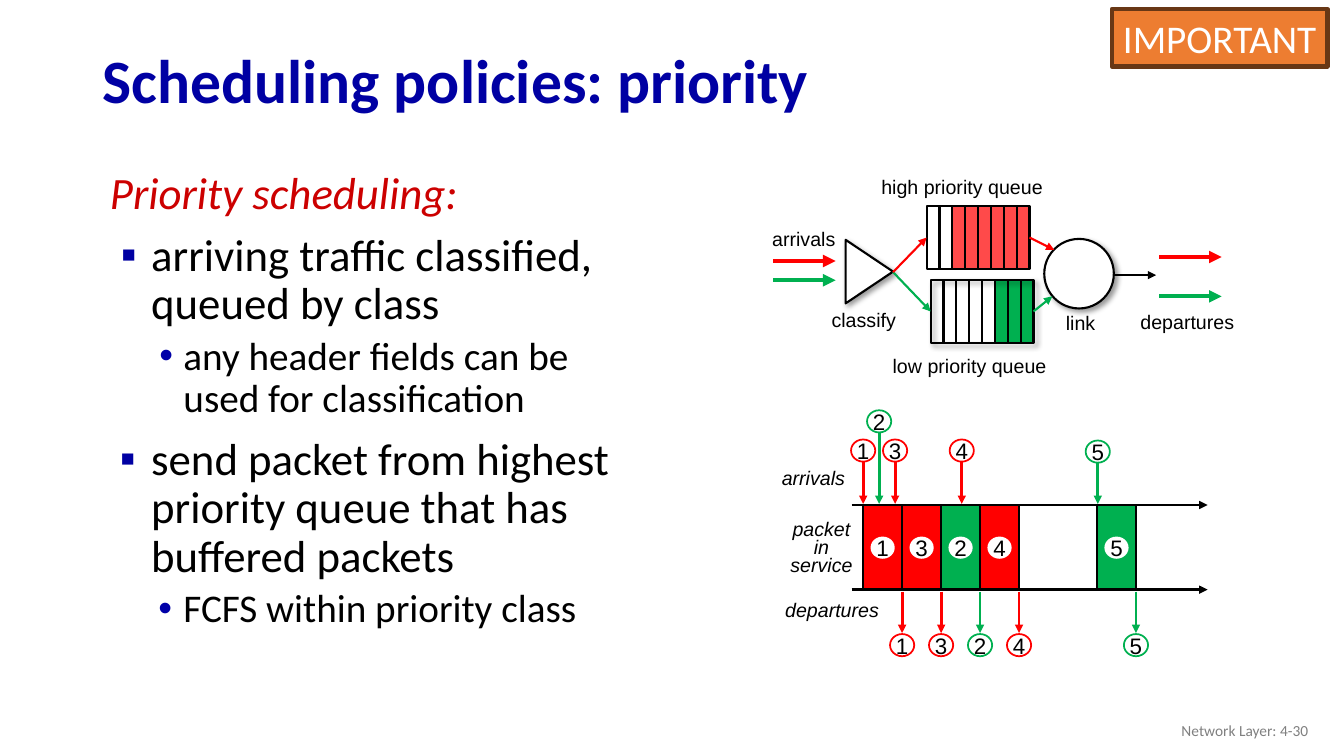
"""Build the slide on priority scheduling, laid out on a grid of 40 columns by 22.5 rows."""
from dataclasses import dataclass
from typing import Any, NamedTuple, Optional

from lxml.etree import SubElement
from pptx import Presentation
from pptx.dml.color import RGBColor
from pptx.enum.shapes import MSO_CONNECTOR, MSO_SHAPE
from pptx.enum.text import MSO_ANCHOR, MSO_AUTO_SIZE, PP_ALIGN
from pptx.oxml.ns import qn
from pptx.util import Emu, Inches, Pt

COLUMNS, ROWS = 40, 22.5
CELL = Inches(13.3333) / COLUMNS


@dataclass(frozen=True)
class Theme:
    """Colours, fonts and type sizes of the slide."""
    title: str = "0000A3"
    sub_bullet: str = "0000A8"
    heading: str = "CC0000"
    high: str = "FF0000"
    low: str = "00B050"
    ink: str = "000000"
    paper: str = "FFFFFF"
    tag: str = "ED7D31"
    tag_edge: str = "683715"
    footer: str = "808080"
    text_font: str = "Calibri"
    diagram_font: str = "Arial"
    title_size: int = 44
    body_size: int = 32
    sub_size: int = 28
    number_size: int = 16
    label_size: int = 14
    footer_size: int = 11


class Box(NamedTuple):
    """Left, top, width and height in grid cells."""
    left: float
    top: float
    width: float
    height: float


class Point(NamedTuple):
    """Column and row in grid cells."""
    column: float
    row: float


class Bullet(NamedTuple):
    """One paragraph of the body text."""
    text: str
    level: int
    margin: float
    hang: float
    mark: Optional[str] = None


class Label(NamedTuple):
    """One caption of the diagrams."""
    text: str
    box: Box
    italic: bool = False


class Queue(NamedTuple):
    """A waiting line whose last slots are filled."""
    box: Box
    colour: str
    filled: int
    opacity: int
    shadowed: bool
    link_entry: Point


class Packet(NamedTuple):
    """A packet with its arrival time, badge row and service slot."""
    number: int
    colour: str
    arrival: float
    badge_row: float
    slot: int


THEME = Theme()
UPPER_BODY = [
    Bullet("Priority scheduling:", 0, 1.17, -0.72),
    Bullet("arriving traffic classified, queued by class", 0, 1.68, -0.9, "▪"),
    Bullet("any header fields can be used for classification", 1, 2.64, -0.72, "•"),
]
LOWER_BODY = [
    Bullet("send packet from highest priority queue that has buffered packets", 0, 1.68, -0.93, "▪"),
    Bullet("FCFS within priority class", 1, 2.64, -0.75, "•"),
]
QUEUES = [
    Queue(Box(27.7, 8.34, 3.06, 1.86), THEME.low, 3, 100, True, Point(31.32, 8.82)),
    Queue(Box(27.58, 6.14, 3.06, 1.86), THEME.high, 6, 71, False, Point(31.38, 7.44)),
]
LABELS = [
    Label("high priority queue", Box(25.92, 5.04, 5.43, 1.02)),
    Label("low priority queue", Box(26.25, 10.38, 5.22, 1.02)),
    Label("arrivals", Box(22.68, 6.6, 2.49, 1.02)),
    Label("classify", Box(24.42, 9, 2.58, 1.02)),
    Label("departures", Box(33.63, 9.06, 3.42, 1.02)),
    Label("link", Box(31.41, 9.09, 1.5, 1.02)),
    Label("arrivals", Box(22.89, 13.71, 2.64, 1.02), True),
    Label("departures", Box(22.98, 17.64, 3.57, 1.02), True),
]
PACKETS = [
    Packet(1, THEME.high, 0, 13.41, 0),
    Packet(3, THEME.high, 0.82, 13.41, 1),
    Packet(2, THEME.low, 0.41, 12.54, 2),
    Packet(4, THEME.high, 2.53, 13.41, 3),
    Packet(5, THEME.low, 6.02, 13.44, 6),
]
FLOWS = [(23.01, 7.77, THEME.high), (23.01, 8.34, THEME.low), (34.5, 7.65, THEME.high), (34.5, 8.82, THEME.low)]
QUEUE_SLOTS = 8
TIME_ZERO, TIME_SLOT = 25.69, 1.16
BADGE_WIDTH, BADGE_HEIGHT = 0.72, 0.66


def cells(count: float) -> Emu:
    """Turn grid cells into a length."""
    return Emu(round(count * CELL))


def assign(target: Any, values: dict) -> None:
    """Set attributes from a dict of format values."""
    for name, value in values.items():
        setattr(target, name, value)


def place(shape: Any, box: Box) -> None:
    """Move a shape to its box."""
    assign(shape, {side: cells(value) for side, value in box._asdict().items()})


def write(paragraph: Any, text: str, size: int, colour: str, font: str, **style: Any) -> None:
    """Put one formatted run in a paragraph."""
    run = paragraph.add_run()
    run.text = text
    assign(run.font, {"size": Pt(size), "name": font, **style})
    run.font.color.rgb = RGBColor.from_string(colour)


def add_figure(slide: Any, kind: MSO_SHAPE, box: Box, fill: Optional[str] = None, edge: Optional[str] = None,
               weight: float = 1.5, shadowed: bool = False, opacity: int = 100) -> Any:
    """Draw a preset shape with its fill, edge and optional shadow."""
    figure = slide.shapes.add_shape(kind, *map(cells, box))
    figure.shadow.inherit = False
    if fill:
        figure.fill.solid()
        figure.fill.fore_color.rgb = RGBColor.from_string(fill)
        if opacity < 100:
            colour = figure.element.spPr.find(qn("a:solidFill")).find(qn("a:srgbClr"))
            SubElement(colour, qn("a:alpha"), val=str(opacity * 1000))
    else:
        figure.fill.background()
    if edge:
        figure.line.color.rgb = RGBColor.from_string(edge)
        figure.line.width = Pt(weight)
    else:
        figure.line.fill.background()
    if shadowed:
        shadow = SubElement(figure.element.spPr.find(qn("a:effectLst")), qn("a:outerShdw"), blurRad=str(Pt(4)),
                            dist=str(Pt(3)), dir="2700000", algn="tl", rotWithShape="0")
        SubElement(SubElement(shadow, qn("a:srgbClr"), val=THEME.ink), qn("a:alpha"), val="40000")
    return figure


def add_line(slide: Any, start: Point, end: Point, colour: str, weight: float, arrow: bool = True) -> Any:
    """Draw a straight connector, with an arrowhead by default."""
    line = slide.shapes.add_connector(MSO_CONNECTOR.STRAIGHT, *map(cells, (*start, *end)))
    line.line.color.rgb = RGBColor.from_string(colour)
    line.line.width = Pt(weight)
    if arrow:
        SubElement(line.line._get_or_add_ln(), qn("a:tailEnd"), type="triangle")
    SubElement(line._element.spPr, qn("a:effectLst"))
    return line


def add_caption(slide: Any, text: str, box: Box, size: int, colour: str, font: str, wrap: bool = False,
                align: PP_ALIGN = PP_ALIGN.CENTER, italic: bool = False) -> Any:
    """Draw a text box and return its paragraph."""
    frame = slide.shapes.add_textbox(*map(cells, box)).text_frame
    assign(frame, {"word_wrap": wrap, "vertical_anchor": MSO_ANCHOR.MIDDLE})
    frame.paragraphs[0].alignment = align
    write(frame.paragraphs[0], text, size, colour, font, italic=italic)
    return frame.paragraphs[0]


def fill_body(body: Any, box: Box, bullets: list[Bullet]) -> None:
    """Place a body placeholder and write its list."""
    place(body, box)
    frame = body.text_frame
    assign(frame, {"auto_size": MSO_AUTO_SIZE.NONE, "word_wrap": True, "vertical_anchor": MSO_ANCHOR.TOP})
    for index, bullet in enumerate(bullets):
        paragraph = frame.add_paragraph() if index else frame.paragraphs[0]
        assign(paragraph, {"level": bullet.level, "line_spacing": 0.9, "space_before": Pt(5 if bullet.level else 10)})
        properties = paragraph._p.get_or_add_pPr()
        properties.set("marL", str(cells(bullet.margin)))
        properties.set("indent", str(cells(bullet.hang)))
        if bullet.mark:
            mark_colour = THEME.sub_bullet if bullet.level else THEME.title
            SubElement(SubElement(properties, qn("a:buClr")), qn("a:srgbClr"), val=mark_colour)
            SubElement(properties, qn("a:buFont"), typeface=THEME.diagram_font)
            SubElement(properties, qn("a:buChar"), char=bullet.mark)
        else:
            SubElement(properties, qn("a:buNone"))
        write(paragraph, bullet.text, THEME.sub_size if bullet.level else THEME.body_size,
              THEME.ink if bullet.mark else THEME.heading, THEME.text_font, italic=not bullet.mark)


def add_queue(slide: Any, queue: Queue, classifier_tip: Point) -> None:
    """Draw a queue with its slots and the arrows into and out of it."""
    left, top, width, height = queue.box
    slot = width / QUEUE_SLOTS
    waiting = Box(left + (QUEUE_SLOTS - queue.filled) * slot, top, queue.filled * slot, height)
    add_figure(slide, MSO_SHAPE.RECTANGLE, waiting, queue.colour, opacity=queue.opacity)
    frame = add_figure(slide, MSO_SHAPE.RECTANGLE, queue.box, edge=THEME.ink, shadowed=queue.shadowed)
    for index in range(1, QUEUE_SLOTS):
        column = left + index * slot
        add_line(slide, Point(column, top), Point(column, top + height), THEME.ink, 1.5, arrow=False)
    middle = top + height / 2
    add_line(slide, classifier_tip, Point(left, middle), queue.colour, 1.5).end_connect(frame, 1)
    add_line(slide, Point(left + width, middle), queue.link_entry, queue.colour, 1.5).begin_connect(frame, 3)


def add_badge(slide: Any, number: int, centre: Point, edge: Optional[str] = None) -> None:
    """Draw a numbered packet badge around its centre."""
    box = Box(centre.column - BADGE_WIDTH / 2, centre.row - BADGE_HEIGHT / 2, BADGE_WIDTH, BADGE_HEIGHT)
    frame = add_figure(slide, MSO_SHAPE.OVAL, box, THEME.paper, edge, 1.25).text_frame
    assign(frame, {"word_wrap": False, "vertical_anchor": MSO_ANCHOR.MIDDLE, "margin_left": 0, "margin_right": 0,
                   "margin_top": 0, "margin_bottom": 0})
    frame.paragraphs[0].alignment = PP_ALIGN.CENTER
    write(frame.paragraphs[0], str(number), THEME.number_size, THEME.ink, THEME.diagram_font)


def add_packet(slide: Any, packet: Packet) -> None:
    """Draw the arrival, service and departure of a packet."""
    arrival = TIME_ZERO + packet.arrival * TIME_SLOT
    service = TIME_ZERO + packet.slot * TIME_SLOT
    departure = service + TIME_SLOT
    add_figure(slide, MSO_SHAPE.RECTANGLE, Box(service, 15.05, TIME_SLOT, 2.48), packet.colour, THEME.ink, 1.25)
    add_badge(slide, packet.number, Point(service + TIME_SLOT / 2, 16.3))
    add_line(slide, Point(arrival, packet.badge_row + BADGE_HEIGHT / 2), Point(arrival, 15), packet.colour, 2)
    add_badge(slide, packet.number, Point(arrival, packet.badge_row), packet.colour)
    add_line(slide, Point(departure, 17.61), Point(departure, 18.84), packet.colour, 2)
    add_badge(slide, packet.number, Point(departure, 19.2), packet.colour)


def main() -> None:
    """Build and save the slide."""
    deck = Presentation()
    assign(deck, {"slide_width": cells(COLUMNS), "slide_height": cells(ROWS)})
    slide = deck.slides.add_slide(deck.slide_layouts[3])
    title, upper, lower = slide.placeholders
    place(title, Box(2.76, 1.02, 34.5, 2.94))
    assign(title.text_frame, {"auto_size": MSO_AUTO_SIZE.NONE, "vertical_anchor": MSO_ANCHOR.MIDDLE})
    heading = title.text_frame.paragraphs[0]
    assign(heading, {"alignment": PP_ALIGN.LEFT, "line_spacing": 0.9})
    write(heading, "Scheduling policies: priority", THEME.title_size, THEME.title, THEME.text_font, bold=True)
    fill_body(upper, Box(2.52, 4.92, 16.68, 8.79), UPPER_BODY)
    fill_body(lower, Box(2.52, 12.84, 16.68, 6.45), LOWER_BODY)

    classifier = add_figure(slide, MSO_SHAPE.ISOSCELES_TRIANGLE, Box(24.93, 7.38, 1.89, 1.41), THEME.paper,
                            THEME.ink, shadowed=True)
    classifier.rotation = 90
    add_figure(slide, MSO_SHAPE.OVAL, Box(31.08, 7.11, 2.07, 2.07), THEME.paper, THEME.ink, shadowed=True)
    for queue in QUEUES:
        add_queue(slide, queue, Point(26.58, 8.1))
    add_line(slide, Point(33.15, 8.19), Point(34.41, 8.19), THEME.ink, 1.5)
    for column, row, colour in FLOWS:
        add_line(slide, Point(column, row), Point(column + 1.86, row), colour, 3)

    for packet in PACKETS:
        add_packet(slide, packet)
    for row in (15.03, 17.55):
        add_line(slide, Point(25.35, row), Point(35.94, row), THEME.ink, 2)
    for label in LABELS:
        add_caption(slide, label.text, label.box, THEME.label_size, THEME.ink, THEME.diagram_font, italic=label.italic)
    service = add_caption(slide, "packet in service", Box(23.04, 15.39, 2.82, 1.95), THEME.label_size, THEME.ink,
                          THEME.diagram_font, wrap=True, italic=True)
    service.line_spacing = Pt(12.8)
    add_caption(slide, "Network Layer: 4-30", Box(30.24, 21.15, 9, 1.2), THEME.footer_size, THEME.footer,
                THEME.text_font, wrap=True, align=PP_ALIGN.RIGHT)
    tag = Box(33.09, 0.27, 6.42, 1.71)
    add_figure(slide, MSO_SHAPE.RECTANGLE, tag, THEME.tag, THEME.tag_edge, 3)
    add_caption(slide, "IMPORTANT", tag, THEME.sub_size, THEME.paper, THEME.text_font)
    deck.save("out.pptx")


if __name__ == "__main__":
    main()
